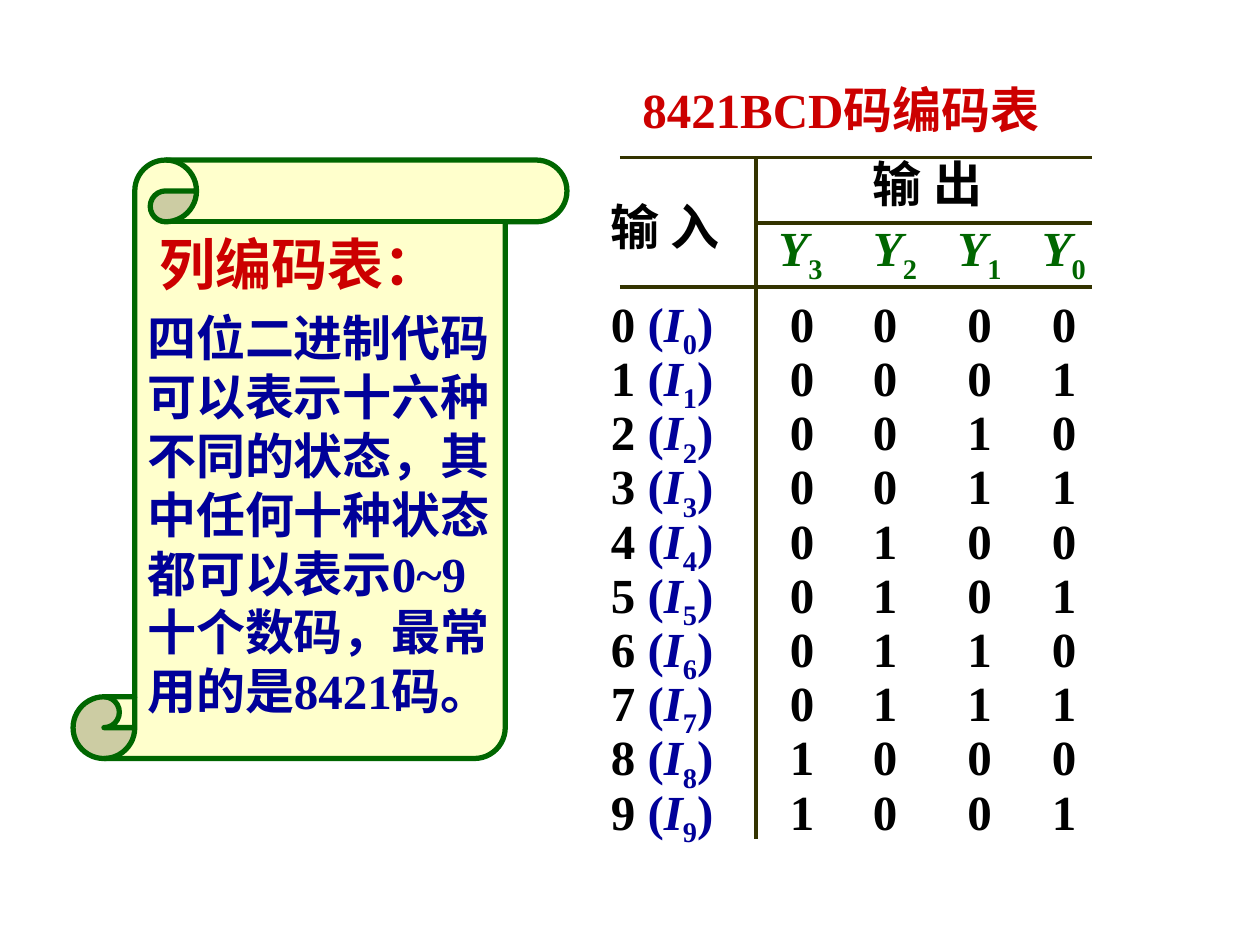
from typing import NamedTuple

from pptx import Presentation
from pptx import util as u
from pptx.dml.color import RGBColor
from pptx.enum import shapes, text
from pptx.oxml.ns import qn
from lxml import etree

FONT = "Times New Roman"
BLACK, RED, BLUE, GREEN, OLIVE, CREAM = (
    "000000", "CC0000", "000099", "006600", "333300", "FFFFCC")
TOP, STEP = 2.28, 0.43
LEFT, RIGHT, SPLIT = 4.92, 8.67, 6.0
HEIGHT = 0.57


class Rule(NamedTuple):
    x1: float
    y1: float
    x2: float
    y2: float


class Bit(NamedTuple):
    """One output column: its sign, and where its head and digits start."""
    sign: str
    head: float
    left: float


RULES = [
    Rule(LEFT, 1.25, RIGHT, 1.25),
    Rule(SPLIT, 1.25, SPLIT, 6.66),
    Rule(LEFT, TOP, RIGHT, TOP),
    Rule(SPLIT, 1.77, RIGHT, 1.77),
]
BITS = [
    Bit("3", 6.08, 6.17),
    Bit("2", 6.83, 6.83),
    Bit("1", 7.5, 7.58),
    Bit("0", 8.17, 8.25),
]


def hue(code: str) -> RGBColor:
    return RGBColor.from_string(code)


def write(par, words: str, size: float = 28, color: str = BLACK,
          italic: bool = False, sub: bool = False) -> None:
    run = par.add_run()
    run.text = words
    font = run.font
    font.name, font.size = FONT, u.Pt(size)
    font.bold, font.italic = True, italic
    font.color.rgb = hue(color)
    if sub:
        font._element.set("baseline", "-25000")


def label(slide, left: float, top: float, width: float, wrap: bool = False):
    """Add an empty text box and return its paragraph."""
    box = slide.shapes.add_textbox(
        u.Inches(left), u.Inches(top), u.Inches(width), u.Inches(HEIGHT))
    frame = box.text_frame
    frame.word_wrap = wrap
    frame.auto_size = text.MSO_AUTO_SIZE.SHAPE_TO_FIT_TEXT
    return frame.paragraphs[0]


def symbol(par, name: str, sign: str, color: str) -> None:
    write(par, name, color=color, italic=True)
    write(par, sign, color=color, sub=True)


def draw(slide, rule: Rule) -> None:
    line = slide.shapes.add_connector(
        shapes.MSO_CONNECTOR.STRAIGHT, *(u.Inches(v) for v in rule))
    line.line.color.rgb = hue(OLIVE)
    line.line.width = u.Pt(2.25)
    etree.SubElement(line._element.spPr, qn("a:effectLst"))


def scroll(slide) -> None:
    shape = slide.shapes.add_shape(
        shapes.MSO_SHAPE.VERTICAL_SCROLL,
        u.Inches(0.58), u.Inches(1.27), u.Inches(3.92), u.Inches(4.75))
    shape.shadow.inherit = False
    shape.fill.solid()
    shape.fill.fore_color.rgb = hue(CREAM)
    shape.line.color.rgb = hue(GREEN)
    shape.line.width = u.Pt(3)
    frame = shape.text_frame
    frame.word_wrap = True
    frame.auto_size = text.MSO_AUTO_SIZE.SHAPE_TO_FIT_TEXT
    frame.vertical_anchor = text.MSO_ANCHOR.MIDDLE
    head, body = frame.paragraphs[0], frame.add_paragraph()
    head.alignment = body.alignment = text.PP_ALIGN.LEFT
    body.space_before = u.Pt(6)
    write(head, " 列编码表：", size=32, color=RED)
    write(body, "四位二进制代码可以表示十六种不同的状态，其中任何十种状态"
                "都可以表示0~9十个数码，最常用的是8421码。", color=BLUE)


def row(slide, digit: int) -> None:
    top = TOP + STEP * digit
    par = label(slide, 4.75, top, 1.04)
    write(par, f"{digit} ")
    write(par, "(", color=BLUE)
    symbol(par, "I", str(digit), BLUE)
    write(par, ")", color=BLUE)
    for bit, value in zip(BITS, f"{digit:04b}"):
        write(label(slide, bit.left, top, 0.4), value)


def main() -> None:
    deck = Presentation()
    deck.slide_width, deck.slide_height = u.Inches(10), u.Inches(7.5)
    slide = deck.slides.add_slide(deck.slide_layouts[6])

    # Explanation on the scroll
    scroll(slide)

    # Rules and heads of the code table
    for rule in RULES:
        draw(slide, rule)
    write(label(slide, 5, 0.58, 3.92, wrap=True), "8421BCD码编码表", color=RED)
    write(label(slide, 4.75, 1.51, 1.08), "输 入")
    write(label(slide, 6.83, 1.17, 1.08), "输 出")
    for bit in BITS:
        symbol(label(slide, bit.head, 1.68, HEIGHT), "Y", bit.sign, GREEN)

    # Each decimal digit with its four bits
    for digit in range(10):
        row(slide, digit)

    deck.save("out.pptx")


if __name__ == "__main__":
    main()
